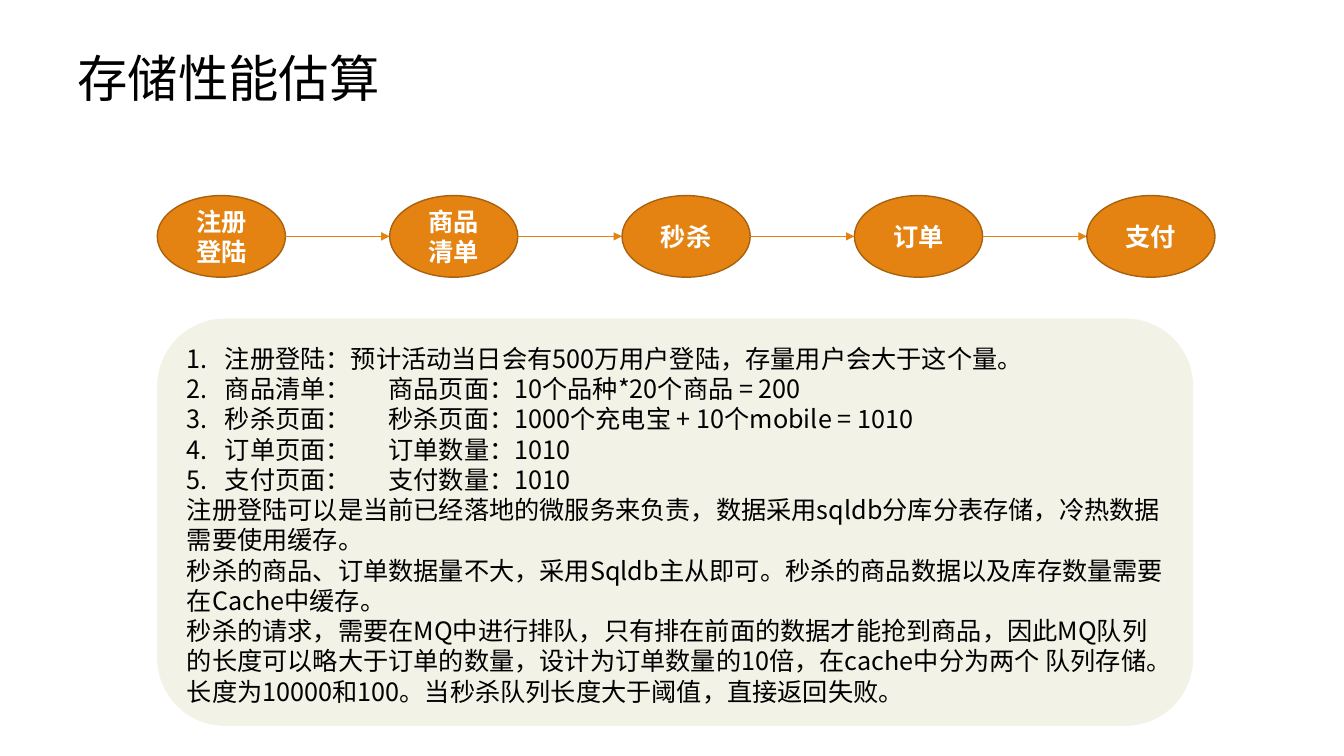
"""Build the storage performance estimate slide."""
from lxml.etree import SubElement
from pptx import Presentation
from pptx.dml.color import RGBColor
from pptx.enum.shapes import MSO_CONNECTOR, MSO_SHAPE
from pptx.enum.text import MSO_ANCHOR, PP_ALIGN
from pptx.oxml.ns import qn
from pptx.util import Pt

FONT = "Noto Sans CJK SC"
BLACK = RGBColor(0x00, 0x00, 0x00)
WHITE = RGBColor(0xFF, 0xFF, 0xFF)
ORANGE = RGBColor(0xE4, 0x83, 0x12)
BROWN = RGBColor(0xA9, 0x61, 0x0D)
CREAM = RGBColor(0xF3, 0xF2, 0xE6)


def write(para, text, size=18, color=BLACK, bold=False, align=PP_ALIGN.LEFT):
    para.alignment = align
    para.line_spacing = Pt(size * 1.2)
    span = para.add_run()
    span.text = text
    span.font.name = FONT
    span.font.size = Pt(size)
    span.font.bold = bold
    span.font.color.rgb = color
    SubElement(span.font._element, qn("a:ea"), typeface=FONT)


deck = Presentation()
deck.slide_width, deck.slide_height = Pt(960), Pt(540)
page = deck.slides.add_slide(deck.slide_layouts[5])

title = page.shapes.title
title.left, title.top, title.width, title.height = Pt(48), Pt(29.5), Pt(864), Pt(51)
title.text_frame.vertical_anchor = MSO_ANCHOR.MIDDLE
write(title.text_frame.paragraphs[0], "存储性能估算", size=36)

steps = ["注册登陆", "商品清单", "秒杀", "订单", "支付"]
left, top, width, height, pitch = 112.3, 139.7, 91.6, 58.3, 166
for index, step in enumerate(steps):
    start = left + index * pitch
    oval = page.shapes.add_shape(
        MSO_SHAPE.OVAL, Pt(start), Pt(top), Pt(width), Pt(height))
    oval.shadow.inherit = False
    oval.fill.solid()
    oval.fill.fore_color.rgb = ORANGE
    oval.line.color.rgb = BROWN
    oval.line.width = Pt(1)
    oval.text_frame.word_wrap = True
    oval.text_frame.vertical_anchor = MSO_ANCHOR.MIDDLE
    write(oval.text_frame.paragraphs[0], step, color=WHITE, bold=True,
          align=PP_ALIGN.CENTER)
    if index < len(steps) - 1:
        middle = Pt(top + height / 2)
        arrow = page.shapes.add_connector(
            MSO_CONNECTOR.STRAIGHT, Pt(start + width), middle, Pt(start + pitch), middle)
        arrow.line.color.rgb = ORANGE
        arrow.line.width = Pt(0.5)
        SubElement(arrow.line._get_or_add_ln(), qn("a:tailEnd"), type="triangle")
        SubElement(arrow._element.spPr, qn("a:effectLst"))

estimates = [
    "注册登陆：预计活动当日会有500万用户登陆，存量用户会大于这个量。",
    "商品清单：\t商品页面：10个品种*20个商品 = 200",
    "秒杀页面：\t秒杀页面：1000个充电宝 + 10个mobile = 1010",
    "订单页面：\t订单数量：1010",
    "支付页面：\t支付数量：1010",
]
conclusions = [
    "注册登陆可以是当前已经落地的微服务来负责，数据采用sqldb分库分表存储，冷热数据需要使用缓存。",
    "秒杀的商品、订单数据量不大，采用Sqldb主从即可。秒杀的商品数据以及库存数量需要在Cache中缓存。",
    "秒杀的请求，需要在MQ中进行排队，只有排在前面的数据才能抢到商品，因此MQ队列的长度可以略大于"
    "订单的数量，设计为订单数量的10倍，在cache中分为两个 队列存储。长度为10000和100。"
    "当秒杀队列长度大于阈值，直接返回失败。",
]
panel = page.shapes.add_shape(
    MSO_SHAPE.ROUNDED_RECTANGLE, Pt(left), Pt(227.5), Pt(740), Pt(291))
panel.shadow.inherit = False
panel.fill.solid()
panel.fill.fore_color.rgb = CREAM
panel.line.fill.background()
frame = panel.text_frame
frame.word_wrap = True
frame.vertical_anchor = MSO_ANCHOR.TOP
for index, text in enumerate(estimates + conclusions):
    para = frame.add_paragraph() if index else frame.paragraphs[0]
    write(para, text)
    if index < len(estimates):
        layout = para._p.get_or_add_pPr()
        layout.set("marL", str(Pt(27)))
        layout.set("indent", str(-Pt(27)))
        SubElement(layout, qn("a:buFont"), typeface=FONT)
        SubElement(layout, qn("a:buAutoNum"), type="arabicPeriod")

deck.save("out.pptx")
